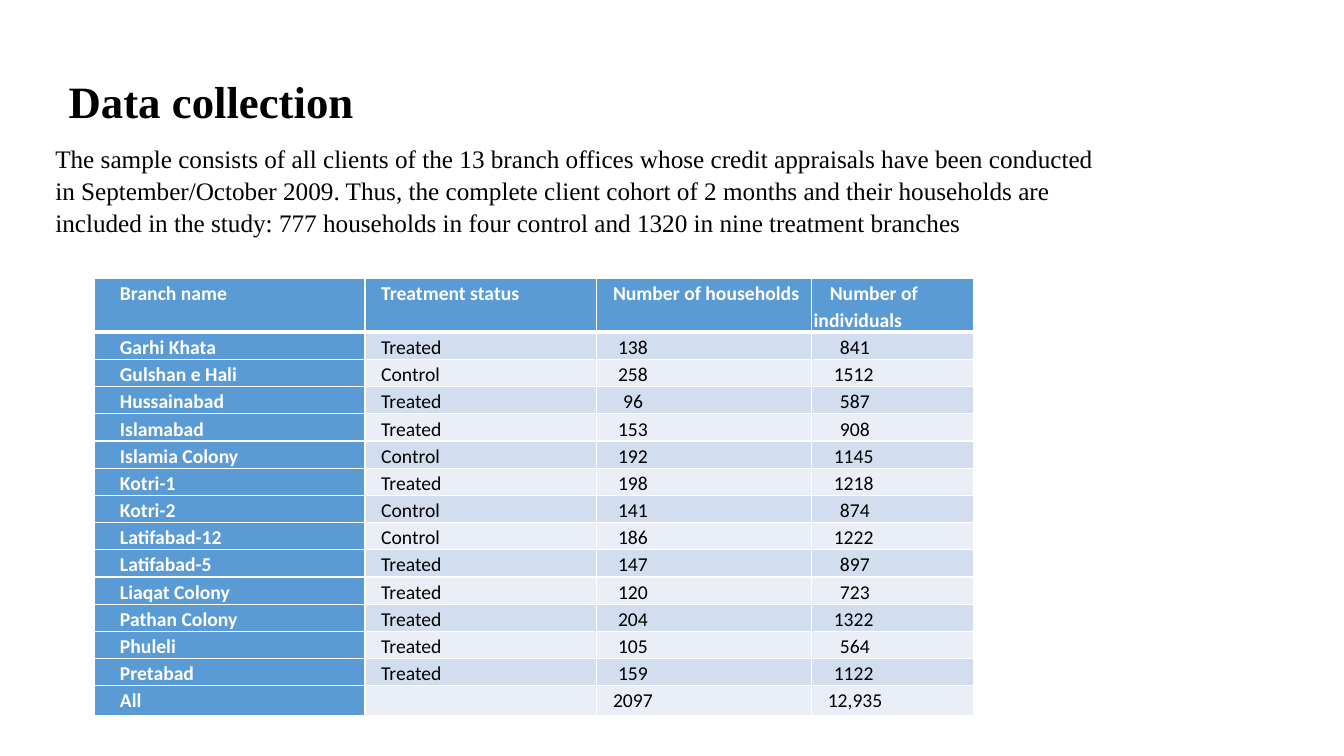
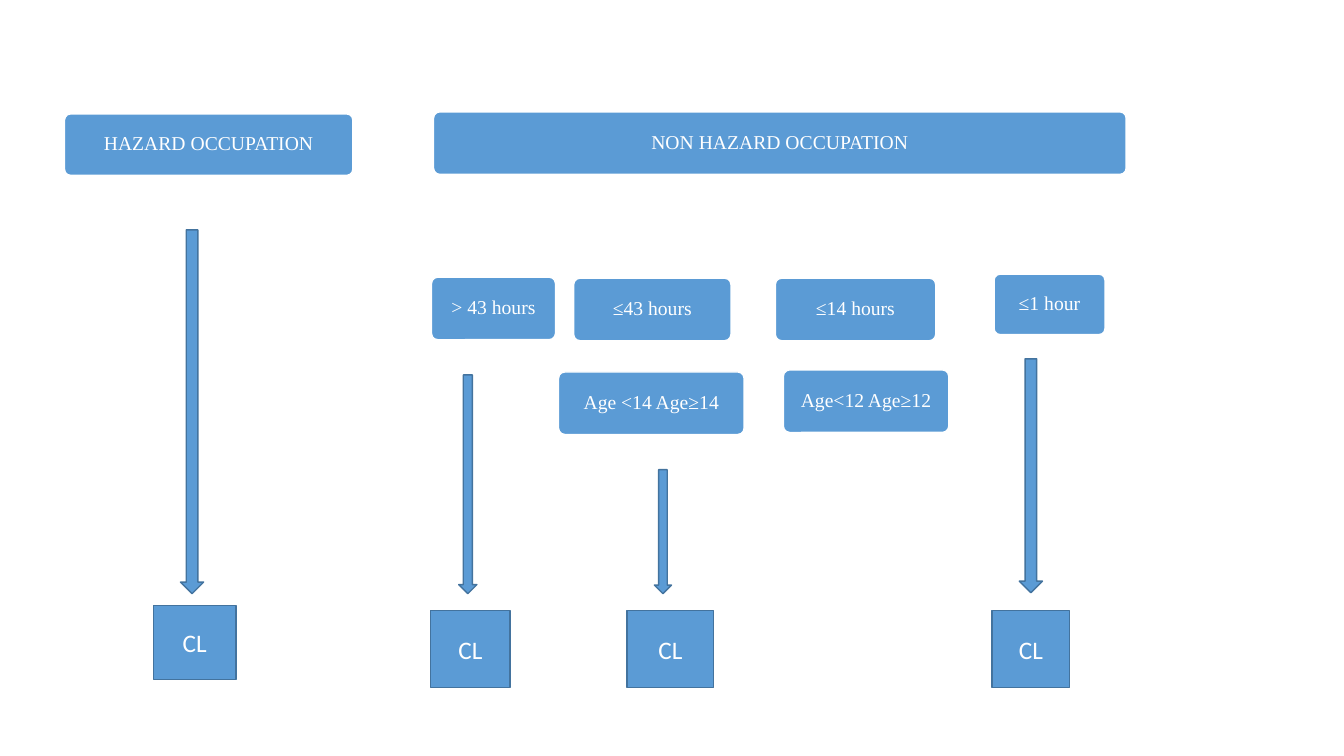
import lxml.etree
import pptx
import pptx.dml.color
import pptx.enum.shapes
import pptx.enum.text
import pptx.oxml.ns
import pptx.util

Inches = pptx.util.Inches
Pt = pptx.util.Pt
KIND = pptx.enum.shapes.MSO_SHAPE
ALIGN = pptx.enum.text.PP_ALIGN
ANCHOR = pptx.enum.text.MSO_ANCHOR
qn = pptx.oxml.ns.qn

BLUE, EDGE, WHITE, BLACK = "5B9BD5", "43739E", "FFFFFF", "000000"
BANDS = ("D2DEEF", "EAEFF7")
SERIF, SANS = "Times New Roman", "Calibri"

NOTE = (
    "The sample consists of all clients of the 13 branch offices whose credit "
    "appraisals have been conducted in September/October 2009. Thus, the complete "
    "client cohort of 2 months and their households are included in the study: "
    "777 households in four control and 1320 in nine treatment branches"
)
HEADS = ("Branch name", "Treatment status", "Number of households", "Number of individuals")
ROWS = (
    ("Garhi Khata", "Treated", "138", "841"),
    ("Gulshan e Hali", "Control", "258", "1512"),
    ("Hussainabad", "Treated", "96", "587"),
    ("Islamabad", "Treated", "153", "908"),
    ("Islamia Colony", "Control", "192", "1145"),
    ("Kotri-1", "Treated", "198", "1218"),
    ("Kotri-2", "Control", "141", "874"),
    ("Latifabad-12", "Control", "186", "1222"),
    ("Latifabad-5", "Treated", "147", "897"),
    ("Liaqat Colony", "Treated", "120", "723"),
    ("Pathan Colony", "Treated", "204", "1322"),
    ("Phuleli", "Treated", "105", "564"),
    ("Pretabad", "Treated", "159", "1122"),
    ("All", "", "2097", "12,935"),
)


def tint(color, code):
    color.rgb = pptx.dml.color.RGBColor.from_string(code)


def paint(item, code):
    item.fill.solid()
    tint(item.fill.fore_color, code)


def write(para, text, size, face, code, bold=False):
    run = para.add_run()
    run.text = text
    run.font.size = Pt(size)
    run.font.name = face
    run.font.bold = bold
    tint(run.font.color, code)


def place(box):
    return [Inches(value) for value in box]


def pad(item, left, top, right, bottom):
    item.margin_left, item.margin_top = Inches(left), Inches(top)
    item.margin_right, item.margin_bottom = Inches(right), Inches(bottom)


def intro(slide, left, top, width):
    title = slide.shapes.title
    title.left, title.top, title.width, title.height = place((left + 0.03, top, width, 0.6))
    frame = title.text_frame
    frame.auto_size = pptx.enum.text.MSO_AUTO_SIZE.NONE
    frame.vertical_anchor = ANCHOR.MIDDLE
    pad(frame, 0.1, 0, 0.1, 0)
    para = frame.paragraphs[0]
    para.alignment = ALIGN.LEFT
    write(para, "Data collection", 32, SERIF, BLACK, True)

    body = slide.shapes.add_textbox(*place((left - 0.1, top + 0.66, width, 1.05)))
    body.text_frame.word_wrap = True
    para = body.text_frame.paragraphs[0]
    para.line_spacing = 1.05
    write(para, NOTE, 18, SERIF, BLACK)


def border(cell, row):
    props = cell._tc.get_or_add_tcPr()
    for side in "LRTB":
        thick = (row, side) in ((0, "B"), (1, "T"))
        line = lxml.etree.SubElement(props, qn("a:ln" + side), w=str(Pt(3 if thick else 1)))
        fill = lxml.etree.SubElement(line, qn("a:solidFill"))
        lxml.etree.SubElement(fill, qn("a:srgbClr"), val=WHITE)


def margin(row, col, text):
    if col == 0:
        return 0.09
    if row == 0:
        return 0.02 if col == 3 else 0
    if col == 1:
        return 0
    step, most = ((0.05, 4), (0.06, 5))[col - 2]
    return max(0, step * (most - len(text)))


def grid(slide, box):
    data = (HEADS,) + ROWS
    table = slide.shapes.add_table(len(data), len(HEADS), *place(box)).table
    for col, width in enumerate((2.68, 2.3, 2.13, 1.61)):
        table.columns[col].width = Inches(width)
    for row, texts in enumerate(data):
        table.rows[row].height = Inches({0: 0.51, len(ROWS): 0.3}.get(row, 0.27))
        for col, text in enumerate(texts):
            cell = table.cell(row, col)
            strong = row == 0 or col == 0
            pad(cell, 0, 0, 0.08, 0)
            border(cell, row)
            paint(cell, BLUE if strong else BANDS[(row - 1) % 2])
            para = cell.text_frame.paragraphs[0]
            para.line_spacing = 1.15
            props = para._p.get_or_add_pPr()
            props.set("marL", str(Inches(margin(row, col, text))))
            props.set("indent", str(Inches(0.16)))
            if text:
                write(para, text, 14, SANS, WHITE if strong else BLACK, strong)


def block(slide, kind, box, edge):
    shape = slide.shapes.add_shape(kind, *place(box))
    shape.shadow.inherit = False
    paint(shape, BLUE)
    tint(shape.line.color, edge)
    shape.line.width = Pt(1)
    return shape


def label(shape, text, size, face):
    frame = shape.text_frame
    frame.word_wrap = True
    frame.vertical_anchor = ANCHOR.MIDDLE
    para = frame.paragraphs[0]
    para.alignment = ALIGN.CENTER
    write(para, text, size, face, WHITE)
    return para


def branch(slide, left, top, tags, arrows, ends):
    def shift(box):
        return (left + box[0], top + box[1], box[2], box[3])

    for text, box in tags:
        shape = block(slide, KIND.ROUNDED_RECTANGLE, shift(box), WHITE)
        shape.adjustments[0] = 0.1
        pad(shape.text_frame, 0.08, 0.08, 0.08, 0.08)
        label(shape, text, 14, SERIF).line_spacing = 0.9
    for box in arrows:
        block(slide, KIND.DOWN_ARROW, shift(box), EDGE)
    for box in ends:
        label(block(slide, KIND.RECTANGLE, shift(box), EDGE), "CL", 18, SANS)


def sample(deck):
    slide = deck.slides.add_slide(deck.slide_layouts[5])
    intro(slide, 0.55, 0.7, 10.65)
    grid(slide, (0.94, 2.76, 8.72, 4.33))


def flow(deck):
    slide = deck.slides.add_slide(deck.slide_layouts[6])
    branch(
        slide, 4.3, 1.11,
        (
            ("NON HAZARD OCCUPATION", (0, 0, 6.87, 0.62)),
            ("≤1 hour", (5.56, 1.61, 1.1, 0.6)),
            ("≤14 hours", (3.39, 1.65, 1.59, 0.62)),
            ("Age<12 Age≥12", (3.47, 2.56, 1.64, 0.62)),
            ("> 43 hours", (-0.02, 1.64, 1.23, 0.62)),
            ("≤43 hours", (1.39, 1.65, 1.56, 0.62)),
            ("Age <14 Age≥14", (1.24, 2.58, 1.84, 0.62)),
        ),
        ((0.25, 2.61, 0.18, 2.17), (2.19, 3.55, 0.17, 1.23), (5.81, 2.45, 0.23, 2.32)),
        ((-0.03, 4.95, 0.79, 0.76), (1.92, 4.95, 0.86, 0.76), (5.54, 4.95, 0.77, 0.76)),
    )
    branch(
        slide, 0.64, 1.13,
        (("HAZARD OCCUPATION", (0, 0, 2.86, 0.61)),),
        ((1.15, 1.15, 0.23, 3.61),),
        ((0.88, 4.88, 0.82, 0.73),),
    )


def main():
    deck = pptx.Presentation()
    deck.slide_width, deck.slide_height = Inches(13.33), Inches(7.5)
    sample(deck)
    flow(deck)
    deck.save("out.pptx")


if __name__ == "__main__":
    main()
